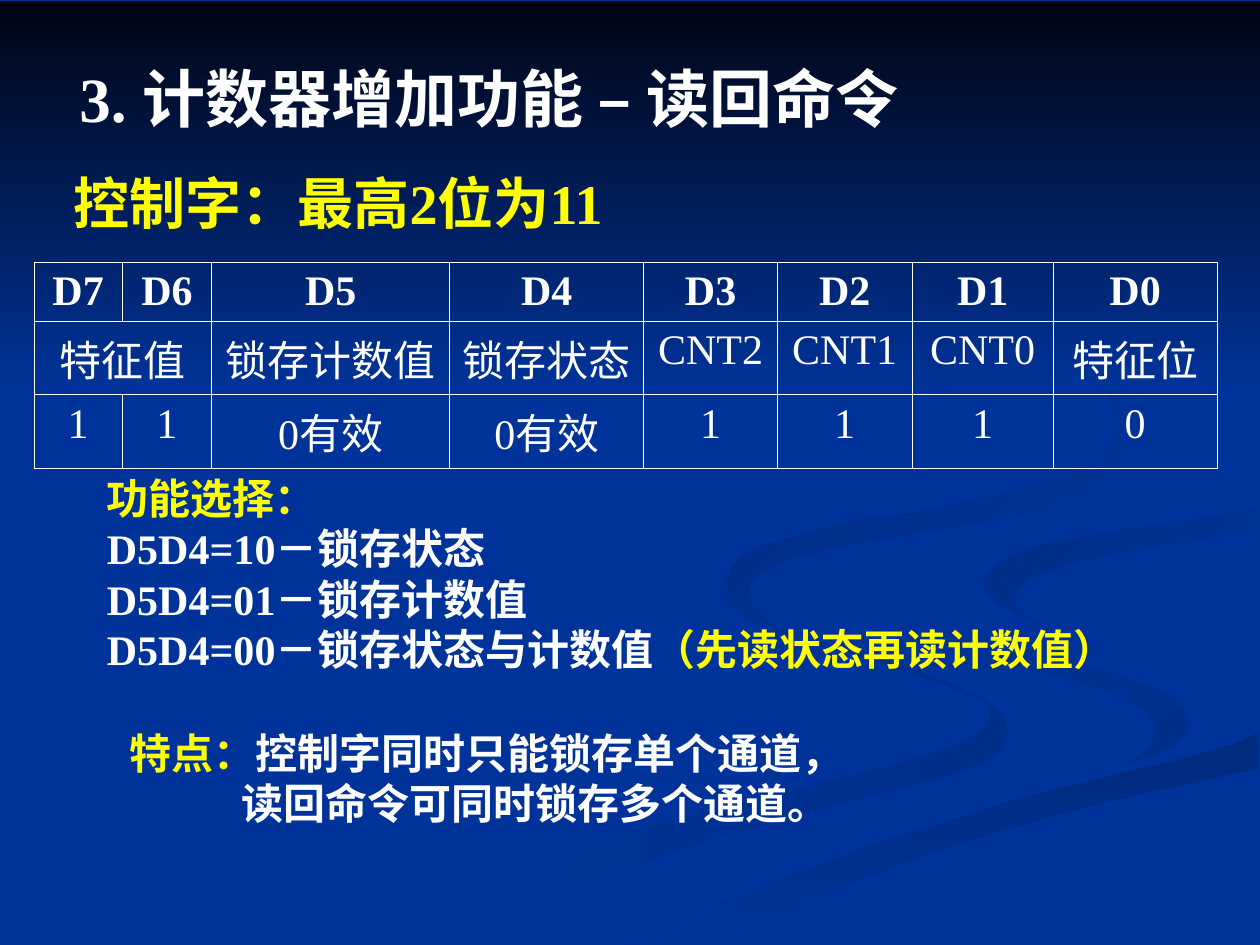
from dataclasses import dataclass

import lxml.etree
import pptx
import pptx.dml.color
import pptx.enum.shapes
import pptx.enum.text
import pptx.oxml.ns
import pptx.util

Pt = pptx.util.Pt
qn = pptx.oxml.ns.qn


@dataclass(frozen=True)
class Theme:
    """Colours, font and type sizes of the slide."""
    background: str = "003399"
    night: str = "000514"
    text: str = "FFFFFF"
    accent: str = "FFFF00"
    font: str = "Times New Roman"
    title: int = 36
    heading: int = 32
    body: int = 24
    border: float = 0.45


THEME = Theme()

LEFT_RIBBON = [
    (562, 399), (545, 392), (526, 384), (491, 374), (462, 366), (442, 358), (428, 350),
    (420, 344), (414, 336), (414, 331), (410, 337), (412, 343), (418, 348), (433, 357),
    (454, 364), (489, 374), (514, 382), (534, 389), (549, 395), (559, 399), (564, 403),
    (566, 408), (564, 414), (557, 420), (546, 426), (523, 434), (492, 442), (444, 454),
    (388, 468), (330, 486), (271, 510), (216, 540), (260, 540), (310, 515), (359, 495),
    (406, 480), (449, 467), (487, 457), (519, 449), (544, 443), (562, 436), (570, 431),
    (574, 424), (576, 419), (575, 413), (570, 405)]
RIGHT_RIBBON = [
    (679, 411), (676, 405), (670, 399), (652, 390), (626, 382), (598, 374), (570, 367),
    (546, 359), (528, 348), (523, 342), (521, 335), (522, 342), (528, 352), (537, 361),
    (552, 369), (574, 378), (603, 386), (625, 392), (642, 398), (653, 405), (659, 412),
    (661, 419), (658, 425), (653, 431), (644, 436), (660, 431), (671, 425), (678, 419)]
BOTTOM_RIBBON = [
    (374, 539), (362, 540), (411, 540), (432, 528), (467, 512), (500, 499), (541, 484),
    (591, 469), (650, 454), (719, 439), (719, 419), (703, 426), (674, 434), (624, 446),
    (574, 459), (550, 467), (501, 482), (454, 500), (410, 518)]
EDGE_RIBBON = [
    (562, 332), (563, 338), (570, 345), (580, 351), (595, 358), (585, 351), (580, 346),
    (580, 341), (582, 336), (588, 331), (607, 323), (632, 317), (674, 310), (699, 305),
    (719, 303), (719, 290), (696, 295), (647, 302), (611, 308), (591, 312), (575, 319),
    (565, 327)]
TOP_RIBBON = [
    (492, 310), (532, 303), (566, 297), (594, 290), (616, 282), (631, 273), (640, 261),
    (644, 248), (641, 233), (634, 222), (622, 210), (607, 199), (583, 184), (562, 174),
    (549, 168), (564, 175), (595, 192), (616, 206), (631, 221), (639, 236), (639, 246),
    (635, 256), (626, 264), (606, 273), (570, 283), (528, 292), (487, 298), (459, 305),
    (436, 312), (424, 318), (418, 325), (415, 333), (418, 342), (425, 349), (448, 361),
    (437, 354), (430, 346), (427, 339), (429, 333), (436, 326), (449, 320), (467, 315)]
RIBBONS = [
    (LEFT_RIBBON, THEME.background, "002E8B", 0),
    (RIGHT_RIBBON, THEME.background, "002E8B", 45),
    (BOTTOM_RIBBON, "002A7D", THEME.background, 90),
    (EDGE_RIBBON, "002D86", THEME.background, 45),
    (TOP_RIBBON, "002B82", THEME.background, 45)]

COLUMN_WIDTHS = [50.4, 51.12, 136.08, 110.88, 76.32, 77.04, 80.64, 93.6]
CONTROL_WORD = [
    ["D7", "D6", "D5", "D4", "D3", "D2", "D1", "D0"],
    ["特征值", "", "锁存计数值", "锁存状态", "CNT2", "CNT1", "CNT0", "特征位"],
    ["1", "1", "0有效", "0有效", "1", "1", "1", "0"]]


def rgb(value):
    """Return a colour object for a hex value."""
    return pptx.dml.color.RGBColor.from_string(value)


class SlideBuilder:
    """Draw styled elements on one slide."""

    def __init__(self, presentation, theme):
        self.theme = theme
        self.slide = presentation.slides.add_slide(presentation.slide_layouts[1])
        self.slide.background.fill.solid()
        self.slide.background.fill.fore_color.rgb = rgb(theme.background)

    def style(self, font, size, color, bold=True):
        font.name, font.size, font.bold = self.theme.font, Pt(size), bold
        font.color.rgb = rgb(color)

    def backdrop(self, shape, start, end, angle):
        shape.shadow.inherit = False
        shape.line.fill.background()
        shape.fill.gradient()
        shape.fill.gradient_angle = -angle % 360
        for stop, color, position in zip(shape.fill.gradient_stops, (start, end), (0, 1)):
            stop.color.rgb, stop.position = rgb(color), position
        self.slide.shapes.title._element.addprevious(shape._element)

    def ribbon(self, points, start, end, angle):
        builder = self.slide.shapes.build_freeform(*points[0], scale=Pt(1))
        builder.add_line_segments(points[1:], close=True)
        self.backdrop(builder.convert_to_shape(), start, end, angle)

    def band(self, left, top, width, height, start, end):
        shape = self.slide.shapes.add_shape(
            pptx.enum.shapes.MSO_SHAPE.RECTANGLE, Pt(left), Pt(top), Pt(width), Pt(height))
        self.backdrop(shape, start, end, 90)

    def placeholder(self, index, text, box, size, color, anchor):
        shape = self.slide.placeholders[index]
        shape.left, shape.top, shape.width, shape.height = map(Pt, box)
        frame = shape.text_frame
        frame.text, frame.vertical_anchor = text, anchor
        frame.auto_size = pptx.enum.text.MSO_AUTO_SIZE.NONE
        paragraph = frame.paragraphs[0]
        paragraph.alignment = pptx.enum.text.PP_ALIGN.LEFT
        paragraph.space_before = Pt(0)
        properties = paragraph._p.get_or_add_pPr()
        properties.set("marL", "0")
        properties.set("indent", "0")
        lxml.etree.SubElement(properties, qn("a:buNone"))
        self.style(paragraph.font, size, color)

    def text_box(self, box, lines):
        frame = self.slide.shapes.add_textbox(*map(Pt, box)).text_frame
        frame.word_wrap = True
        for number, (indent, runs) in enumerate(lines):
            paragraph = frame.add_paragraph() if number else frame.paragraphs[0]
            if indent:
                paragraph._p.get_or_add_pPr().set("marL", str(Pt(indent)))
            for text, color in runs:
                run = paragraph.add_run()
                run.text = text
                self.style(run.font, self.theme.body, color)

    def border(self, cell):
        properties = cell._tc.get_or_add_tcPr()
        for position, side in enumerate("LRTB"):
            line = lxml.etree.Element(qn(f"a:ln{side}"), w=str(Pt(self.theme.border)))
            fill = lxml.etree.SubElement(line, qn("a:solidFill"))
            lxml.etree.SubElement(fill, qn("a:srgbClr"), val=self.theme.text)
            properties.insert(position, line)

    def table(self, left, top, row_height, widths, rows):
        table = self.slide.shapes.add_table(
            len(rows), len(widths), Pt(left), Pt(top), Pt(sum(widths)),
            Pt(row_height * len(rows))).table
        for column, width in zip(table.columns, widths):
            column.width = Pt(width)
        for row_index, row in enumerate(rows):
            for column_index, text in enumerate(row):
                cell = table.cell(row_index, column_index)
                cell.text = text
                cell.margin_left = cell.margin_right = Pt(5.76)
                cell.fill.background()
                self.border(cell)
                paragraph = cell.text_frame.paragraphs[0]
                paragraph.alignment = pptx.enum.text.PP_ALIGN.CENTER
                self.style(paragraph.font, self.theme.body, self.theme.text, row_index == 0)
        return table


def main():
    """Build and save the slide."""
    presentation = pptx.Presentation()
    presentation.slide_width, presentation.slide_height = Pt(720), Pt(540)
    builder = SlideBuilder(presentation, THEME)
    for ribbon in RIBBONS:
        builder.ribbon(*ribbon)
    builder.band(0, 0.72, 720, 222, THEME.night, THEME.background)

    anchors = pptx.enum.text.MSO_ANCHOR
    builder.placeholder(0, "3. 计数器增加功能 – 读回命令", (38.16, 28.8, 648, 53.28),
                        THEME.title, THEME.text, anchors.MIDDLE)
    builder.placeholder(1, "控制字：最高2位为11", (34.56, 92.88, 671.76, 425.52),
                        THEME.heading, THEME.accent, anchors.TOP)
    table = builder.table(19.44, 149.76, 28.8, COLUMN_WIDTHS, CONTROL_WORD)
    table.cell(1, 0).merge(table.cell(1, 1))

    builder.text_box((54, 412, 476.64, 69.84), [
        (13, [("特点：", THEME.accent), ("控制字同时只能锁存单个通道，", THEME.text)]),
        (77, [("读回命令可同时锁存多个通道。", THEME.text)])])
    builder.text_box((54, 266.4, 606.24, 122.4), [
        (0, [("功能选择：", THEME.accent)]),
        (0, [("D5D4=10－锁存状态", THEME.text)]),
        (0, [("D5D4=01－锁存计数值", THEME.text)]),
        (0, [("D5D4=00－锁存状态与计数值", THEME.text),
             ("（先读状态再读计数值）", THEME.accent)])])
    presentation.save("out.pptx")


if __name__ == "__main__":
    main()
